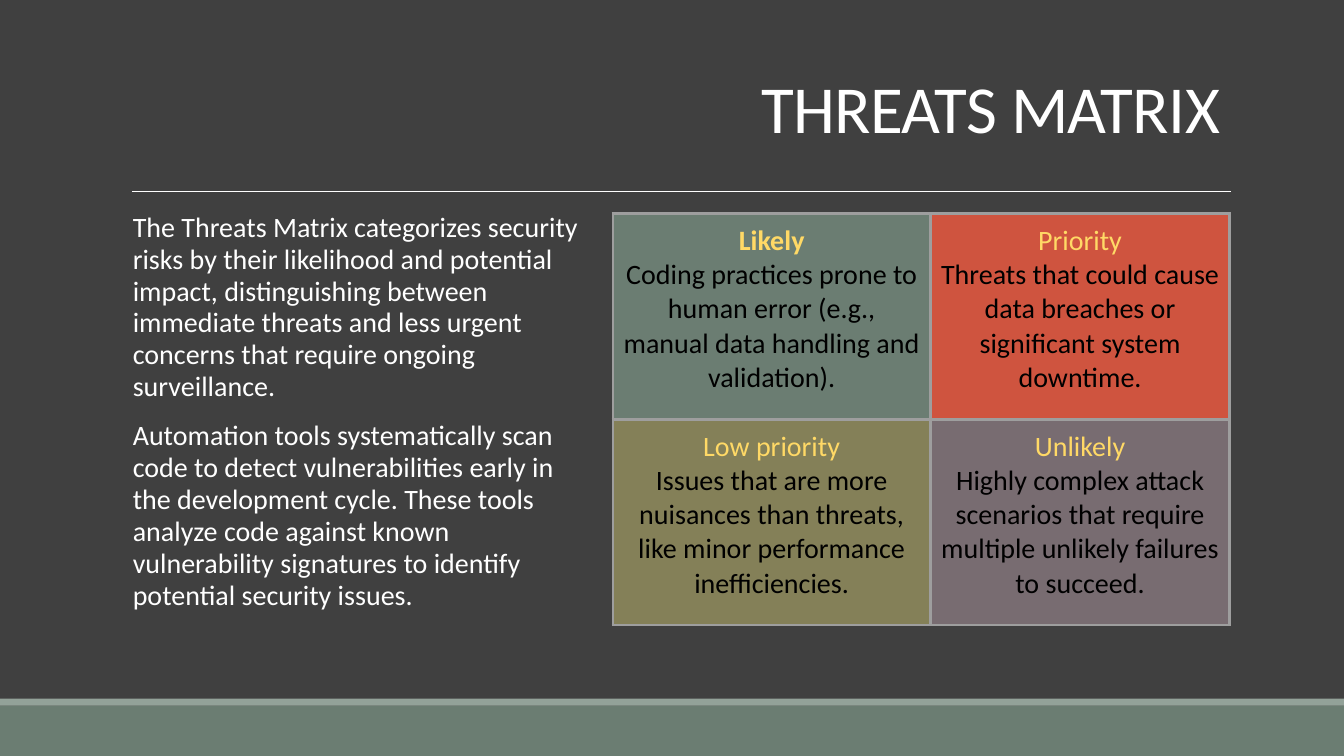
"""Build the threats matrix slide."""
from lxml import etree
from pptx import Presentation
from pptx.dml.color import RGBColor
from pptx.enum.shapes import MSO_CONNECTOR, MSO_SHAPE
from pptx.enum.text import MSO_ANCHOR, PP_ALIGN
from pptx.oxml.ns import qn
from pptx.util import Pt

LEFT, CENTER, RIGHT = PP_ALIGN.LEFT, PP_ALIGN.CENTER, PP_ALIGN.RIGHT
MIDDLE = MSO_ANCHOR.MIDDLE
RECT = MSO_SHAPE.RECTANGLE
STRAIGHT = MSO_CONNECTOR.STRAIGHT

DARK = RGBColor(0x40, 0x40, 0x40)
WHITE = RGBColor(0xFF, 0xFF, 0xFF)
BLACK = RGBColor(0x00, 0x00, 0x00)
GOLD = RGBColor(0xFF, 0xD9, 0x66)
GREEN = RGBColor(0x6B, 0x7D, 0x72)
SAGE = RGBColor(0x93, 0xA2, 0x99)
RED = RGBColor(0xCF, 0x54, 0x3F)
OLIVE = RGBColor(0x84, 0x80, 0x58)
MAUVE = RGBColor(0x78, 0x6C, 0x71)
GRAY = RGBColor(0x9E, 0x9E, 0x9E)


def write(frame, text, size=20, color=WHITE, bold=False, align=LEFT,
          line=1.0, after=0, indent=0, track=0, first=False):
    """Write one paragraph into a text frame."""
    para = frame.paragraphs[0] if first else frame.add_paragraph()
    para.alignment = align
    para.line_spacing = line
    para.space_after = Pt(after)
    if indent:
        para._p.get_or_add_pPr().set("marL", str(Pt(indent)))
    run = para.add_run()
    run.text = text
    run.font.name = "Calibri"
    run.font.size = Pt(size)
    run.font.bold = bold
    run.font.color.rgb = color
    if track:
        run.font._element.set("spc", str(round(track * 100)))


def border(cell):
    """Draw the same line on all four sides of a cell."""
    props = cell._tc.get_or_add_tcPr()
    for place, side in enumerate(("a:lnL", "a:lnR", "a:lnT", "a:lnB")):
        edge = etree.Element(qn(side), w=str(Pt(2.25)))
        fill = etree.SubElement(edge, qn("a:solidFill"))
        etree.SubElement(fill, qn("a:srgbClr"), val=str(GRAY))
        props.insert(place, edge)


deck = Presentation()
deck.slide_width, deck.slide_height = Pt(960), Pt(540)
slide = deck.slides.add_slide(deck.slide_layouts[6])
slide.background.fill.solid()
slide.background.fill.fore_color.rgb = DARK
shapes = slide.shapes

for top, height, color in ((504, 36, GREEN), (499, 5, SAGE)):
    band = shapes.add_shape(RECT, 0, Pt(top), Pt(960), Pt(height))
    band.shadow.inherit = False
    band.fill.solid()
    band.fill.fore_color.rgb = color
    band.line.fill.background()

rule = shapes.add_connector(STRAIGHT, Pt(94.3), Pt(136.6), Pt(879), Pt(136.6))
rule.line.color.rgb = WHITE
rule.line.width = Pt(0.5)
etree.SubElement(rule._element.spPr, qn("a:effectLst"))

title = shapes.add_textbox(Pt(86.4), Pt(22.3), Pt(792), Pt(114.5)).text_frame
title.word_wrap = True
title.vertical_anchor = MIDDLE
write(title, "THREATS MATRIX", size=48, align=RIGHT, line=0.9, track=-0.5,
      first=True)

body = shapes.add_textbox(Pt(69.8), Pt(147.6), Pt(362.2), Pt(326)).text_frame
body.word_wrap = True
notes = (
    "The Threats Matrix categorizes security risks by their likelihood and "
    "potential impact, distinguishing between immediate threats and less "
    "urgent concerns that require ongoing surveillance.",
    "Automation tools systematically scan code to detect vulnerabilities early "
    "in the development cycle. These tools analyze code against known "
    "vulnerability signatures to identify potential security issues.",
)
for spot, note in enumerate(notes):
    write(body, note, line=0.95, after=12, indent=18, first=spot == 0)

threats = (
    ("Likely", "Coding practices prone to human error (e.g., manual data "
     "handling and validation).", GREEN, True),
    ("Priority", "Threats that could cause data breaches or significant system "
     "downtime.", RED, False),
    ("Low priority", "Issues that are more nuisances than threats, like minor "
     "performance inefficiencies.", OLIVE, False),
    ("Unlikely", "Highly complex attack scenarios that require multiple "
     "unlikely failures to succeed.", MAUVE, False),
)
grid = shapes.add_table(2, 2, Pt(437.8), Pt(152.6), Pt(440.6), Pt(293.8)).table
grid.first_row = grid.horz_banding = False
for col, width in zip(grid.columns, (226.8, 213.8)):
    col.width = Pt(width)
for row in grid.rows:
    row.height = Pt(146.9)
for cell, (head, text, color, bold) in zip(grid.iter_cells(), threats):
    cell.fill.solid()
    cell.fill.fore_color.rgb = color
    cell.margin_left = cell.margin_right = Pt(7.2)
    cell.margin_top = cell.margin_bottom = Pt(7.2)
    border(cell)
    write(cell.text_frame, head, color=GOLD, bold=bold, align=CENTER, first=True)
    write(cell.text_frame, text, color=BLACK, align=CENTER)

deck.save("out.pptx")
